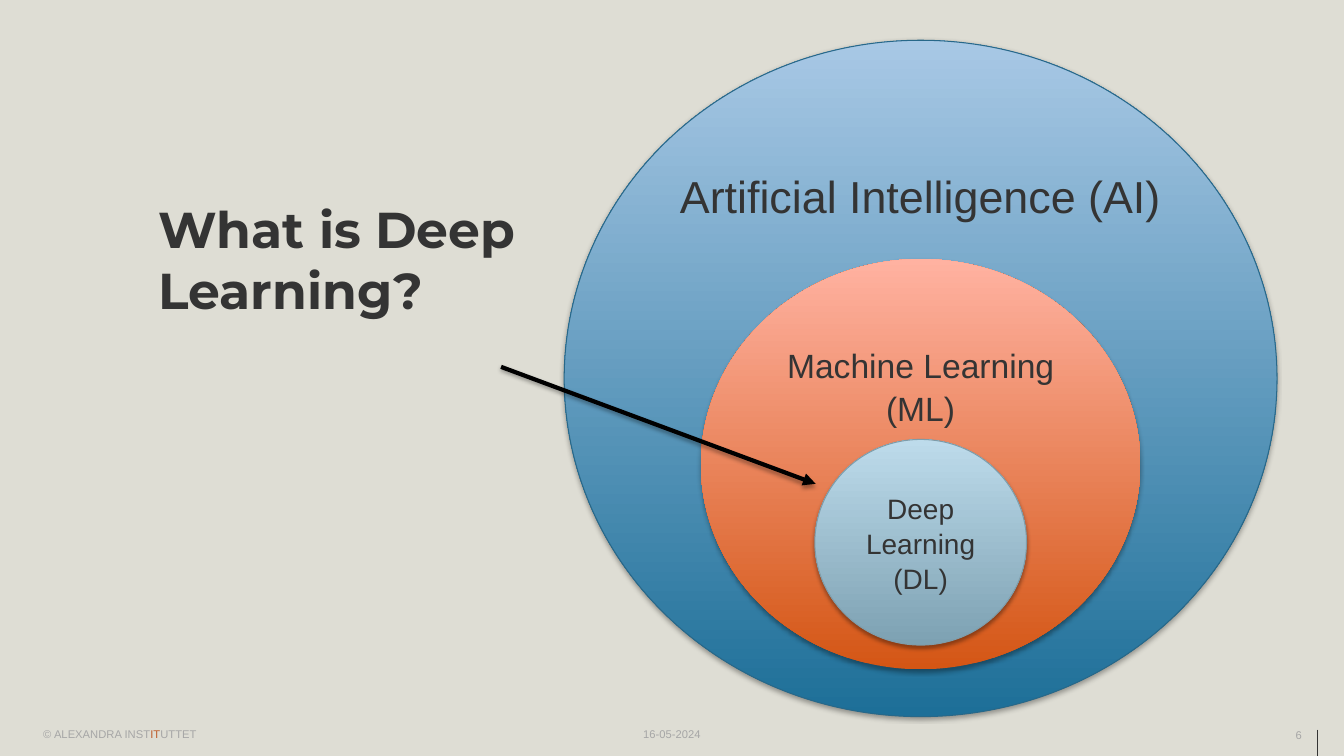
from dataclasses import dataclass

from lxml import etree
from pptx import Presentation
from pptx import util as u
from pptx.dml.color import RGBColor
from pptx.enum import shapes, text
from pptx.oxml import ns


@dataclass(frozen=True)
class Theme:
    background: str = "DEDDD4"
    ink: str = "343434"
    muted: str = "A6A6A6"
    accent: str = "BE5D2B"
    arrow: str = "000000"
    heading_font: str = "Montserrat"
    body_font: str = "Arial"
    title_size: float = 36
    footer_size: float = 8
    hairline: float = 0.75
    arrow_width: float = 3
    shadow_blur: float = 3.1
    shadow_distance: float = 1.8
    shadow_opacity: int = 35


class SlideBuilder:
    def __init__(self, deck, theme):
        self.deck = deck
        self.theme = theme
        self.slide = deck.slides.add_slide(deck.slide_layouts[5])
        background = self.slide.background.fill
        background.solid()
        background.fore_color.rgb = RGBColor.from_string(theme.background)

    def across(self, percent):
        return round(self.deck.slide_width * percent / 100)

    def down(self, percent):
        return round(self.deck.slide_height * percent / 100)

    def place(self, left, top, width, height):
        return (self.across(left), self.down(top),
                self.across(width), self.down(height))

    def style(self, span, size, color, font=None, bold=False):
        span.font.name = font or self.theme.body_font
        span.font.size = u.Pt(size)
        span.font.bold = bold
        span.font.color.rgb = RGBColor.from_string(color)

    def effects(self, shape, shadow):
        if hasattr(shape, "shadow"):
            shape.shadow.inherit = False
        properties = shape._element.spPr
        effect_list = properties.find(ns.qn("a:effectLst"))
        if effect_list is None:
            effect_list = etree.SubElement(properties, ns.qn("a:effectLst"))
        if shadow:
            outer = etree.SubElement(
                effect_list, ns.qn("a:outerShdw"),
                blurRad=str(u.Pt(self.theme.shadow_blur)),
                dist=str(u.Pt(self.theme.shadow_distance)),
                dir="5400000", rotWithShape="0")
            color = etree.SubElement(outer, ns.qn("a:srgbClr"), val="000000")
            etree.SubElement(color, ns.qn("a:alpha"),
                             val=str(self.theme.shadow_opacity * 1000))

    def title(self, words, *area):
        box = self.slide.shapes.title
        box.left, box.top, box.width, box.height = self.place(*area)
        frame = box.text_frame
        frame.text = words
        frame.word_wrap = True
        frame.auto_size = text.MSO_AUTO_SIZE.NONE
        frame.vertical_anchor = text.MSO_ANCHOR.TOP
        frame.margin_left = frame.margin_right = 0
        frame.margin_top = frame.margin_bottom = 0
        para = frame.paragraphs[0]
        para.alignment = text.PP_ALIGN.LEFT
        self.style(para.runs[0], self.theme.title_size, self.theme.ink,
                   self.theme.heading_font, True)

    def footer(self, pieces, alignment, *area):
        box = self.slide.shapes.add_textbox(*self.place(*area))
        box.text_frame.word_wrap = True
        para = box.text_frame.paragraphs[0]
        para.alignment = alignment
        for words, color in pieces:
            span = para.add_run()
            span.text = words
            self.style(span, self.theme.footer_size, color)

    def circle(self, words, size, center, top, width, height,
               bottom_color, top_color, outline, inset):
        circle = self.slide.shapes.add_shape(
            shapes.MSO_SHAPE.OVAL,
            *self.place(center - width / 2, top, width, height))
        circle.fill.gradient()
        circle.fill.gradient_angle = 90
        for stop, color in zip(circle.fill.gradient_stops,
                               (bottom_color, top_color)):
            stop.color.rgb = RGBColor.from_string(color)
        if outline:
            circle.line.color.rgb = RGBColor.from_string(outline)
            circle.line.width = u.Pt(self.theme.hairline)
        else:
            circle.line.fill.background()
        self.effects(circle, True)
        frame = circle.text_frame
        frame.text = words
        frame.word_wrap = True
        frame.margin_left = frame.margin_right = u.Inches(0.05)
        frame.vertical_anchor = text.MSO_ANCHOR.MIDDLE
        if inset:
            frame.vertical_anchor = text.MSO_ANCHOR.TOP
            frame.margin_top = self.down(inset)
        para = frame.paragraphs[0]
        para.alignment = text.PP_ALIGN.CENTER
        para.line_spacing = 1.05
        self.style(para.runs[0], size, self.theme.ink)

    def line(self, start, end, color, width, arrow=False):
        line = self.slide.shapes.add_connector(
            shapes.MSO_CONNECTOR.STRAIGHT,
            self.across(start[0]), self.down(start[1]),
            self.across(end[0]), self.down(end[1]))
        line.line.color.rgb = RGBColor.from_string(color)
        line.line.width = u.Pt(width)
        if arrow:
            outline = line._element.spPr.find(ns.qn("a:ln"))
            etree.SubElement(outline, ns.qn("a:tailEnd"), type="triangle")
        self.effects(line, arrow)


def main():
    theme = Theme()
    deck = Presentation()
    deck.slide_width, deck.slide_height = u.Inches(13.33), u.Inches(7.5)
    page = SlideBuilder(deck, theme)

    page.line((98.05, 96.53), (98.05, 100), theme.ink, theme.hairline)
    page.title("What is Deep Learning?", 11.78, 26.27, 27.08, 16.13)

    align = text.PP_ALIGN
    page.footer([("16-05-2024", theme.muted)], align.CENTER,
                46.21, 95.6, 7.58, 2.67)
    page.footer([("© ALEXANDRA INST", theme.muted), ("IT", theme.accent),
                 ("UTTET", theme.muted)], align.LEFT,
                2.48, 95.6, 14.33, 2.67)
    page.footer([("6", theme.muted)], align.RIGHT, 81.62, 95.73, 15.98, 3.2)

    center = 68.5
    fields = [
        ("Artificial Intelligence (AI)", 32, center, 5.33, 53.04, 89.47,
         "1D6F98", "A8C8E5", "286889", 3.6),
        ("Machine Learning (ML)", 24, center, 34.27, 32.7, 54.27,
         "D45615", "FFB2A1", None, 3.2),
        ("Deep Learning (DL)", 20, center, 58.13, 15.75, 27.2,
         "7DA1B2", "BDDBEB", "7F9CA9", None),
    ]
    for field in fields:
        page.circle(*field)
    page.line((37.28, 48.53), (60.69, 64), theme.arrow, theme.arrow_width, True)

    deck.save("out.pptx")


if __name__ == "__main__":
    main()
